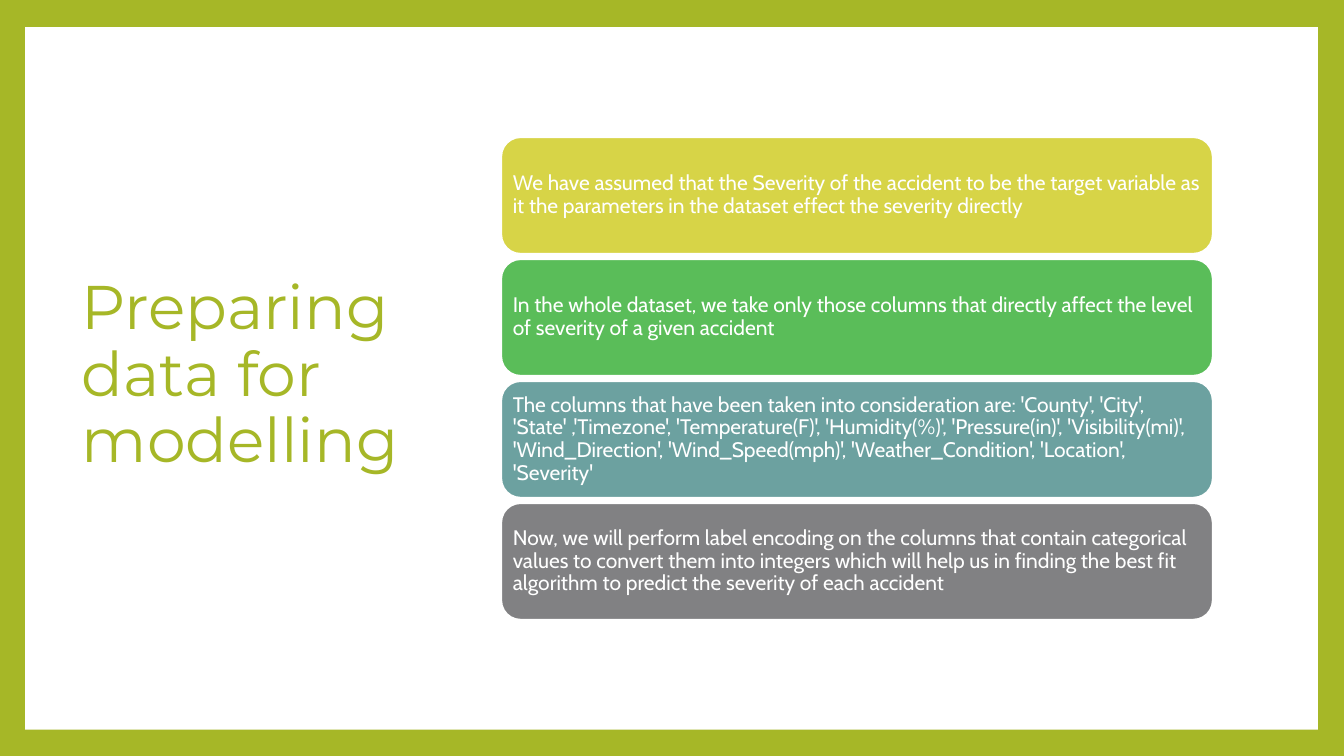
from pptx import Presentation
from pptx.dml.color import RGBColor
from pptx.enum.shapes import MSO_SHAPE as Shape
from pptx.enum.text import MSO_ANCHOR as Anchor, PP_ALIGN as Align
from pptx.util import Inches, Pt

TITLE = "Preparing data for modelling"
STEPS = [
    ("yellow", "We have assumed that the Severity of the accident to be the target variable as "
               "it the parameters in the dataset effect the severity directly"),
    ("green", "In the whole dataset, we take only those columns that directly affect the level "
              "of severity of a given accident"),
    ("teal", "The columns that have been taken into consideration are: 'County', 'City', "
             "'State' ,'Timezone', 'Temperature(F)', 'Humidity(%)', 'Pressure(in)', "
             "'Visibility(mi)', 'Wind_Direction', 'Wind_Speed(mph)', 'Weather_Condition', "
             "'Location', 'Severity'"),
    ("gray", "Now, we will perform label encoding on the columns that contain categorical "
             "values to convert them into integers which will help us in finding the best fit "
             "algorithm to predict the severity of each accident"),
]
COLORS = {"lime": "A6B727", "white": "FFFFFF", "yellow": "D7D447",
          "green": "5ABD59", "teal": "6CA1A0", "gray": "818183"}
CARD_LEFT, CARD_TOP, CARD_WIDTH, CARD_HEIGHT = 4.97, 1.36, 7.06, 1.16
CARD_PITCH = 1.21
CARD_INSET = 0.06


def color(name):
    return RGBColor.from_string(COLORS[name])


def add_panel(page, kind, left, top, width, height, fill):
    panel = page.shapes.add_shape(kind, Inches(left), Inches(top), Inches(width), Inches(height))
    panel.shadow.inherit = False
    panel.fill.solid()
    panel.fill.fore_color.rgb = color(fill)
    panel.line.fill.background()
    return panel


def write(box, text, *, font, size, ink, inset=None):
    frame = box.text_frame
    frame.word_wrap = True
    frame.vertical_anchor = Anchor.MIDDLE
    if inset is not None:
        frame.margin_left = frame.margin_right = Inches(inset)
        frame.margin_top = frame.margin_bottom = Inches(inset)
    para = frame.paragraphs[0]
    para.alignment = Align.LEFT
    para.line_spacing = 0.9
    span = para.add_run()
    span.text = text
    span.font.name = font
    span.font.size = Pt(size)
    span.font.color.rgb = color(ink)


def main():
    deck = Presentation()
    deck.slide_width, deck.slide_height = Inches(13.33), Inches(7.5)
    page = deck.slides.add_slide(deck.slide_layouts[5])
    page.background.fill.solid()
    page.background.fill.fore_color.rgb = color("lime")

    title = page.shapes.title
    sheet = add_panel(page, Shape.RECTANGLE, 0.25, 0.27, 12.82, 6.97, "white")
    title.element.addprevious(sheet.element)  # keeps the title in front of the sheet
    title.left, title.top = Inches(0.71), Inches(0.67)
    title.width, title.height = Inches(3.68), Inches(6.13)
    write(title, TITLE, font="Montserrat", size=44, ink="lime")

    for row, (fill, text) in enumerate(STEPS):
        card = add_panel(page, Shape.ROUNDED_RECTANGLE, CARD_LEFT, CARD_TOP + row * CARD_PITCH,
                         CARD_WIDTH, CARD_HEIGHT, fill)
        card.line.color.rgb = color("white")
        card.line.width = Pt(1.5)
        write(card, text, font="Cabin", size=15, ink="white", inset=CARD_INSET)

    deck.save("out.pptx")


if __name__ == "__main__":
    main()
